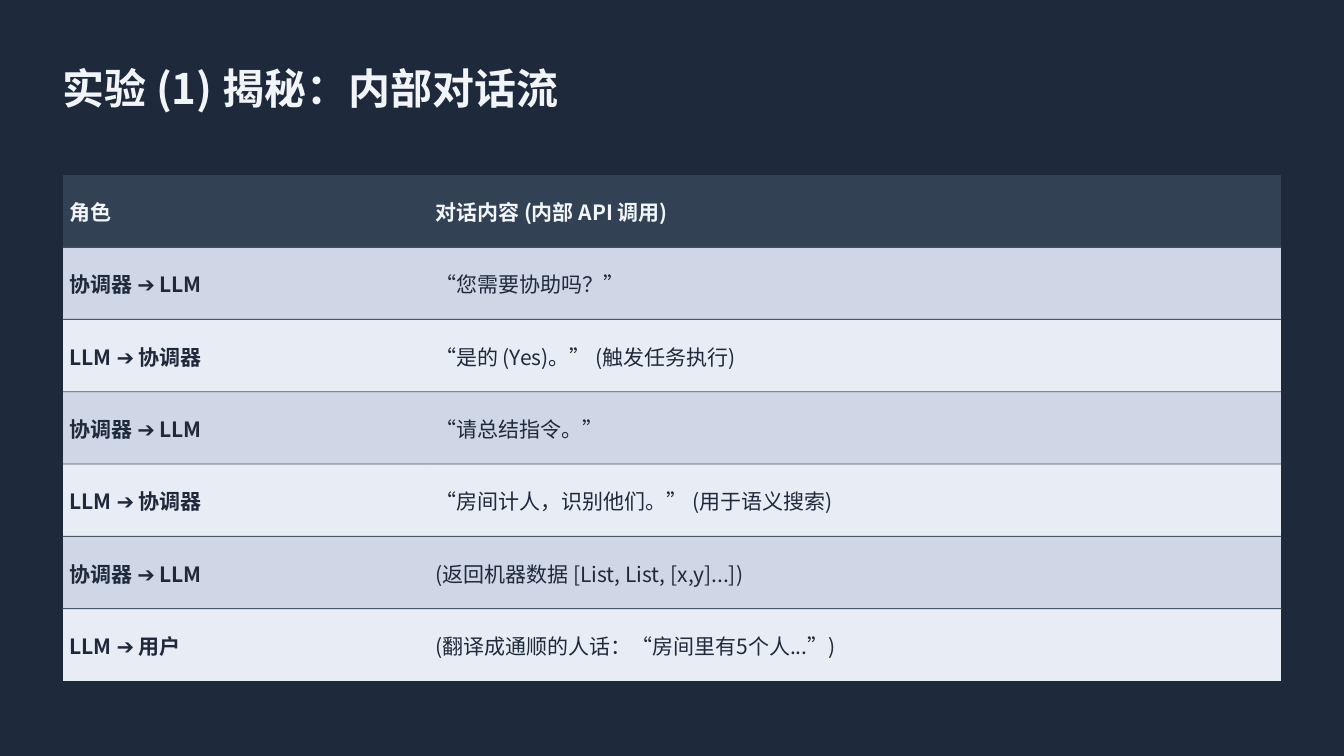
from lxml import etree
from pptx import Presentation
from pptx.dml.color import RGBColor
from pptx.enum.lang import MSO_LANGUAGE_ID
from pptx.enum.shapes import MSO_SHAPE
from pptx.enum.text import MSO_ANCHOR, PP_ALIGN
from pptx.oxml.ns import qn
from pptx.util import Inches, Pt

RECT = MSO_SHAPE.RECTANGLE
MIDDLE, TOP = MSO_ANCHOR.MIDDLE, MSO_ANCHOR.TOP
LEFT = PP_ALIGN.LEFT
CHINESE = MSO_LANGUAGE_ID.SIMPLIFIED_CHINESE
FACE = "Noto Sans CJK TC"
NO_STYLE = "{2D5ABB26-0587-4C30-8999-92F81FD0307C}"
COLORS = {
    "ground": "1E293B",
    "head": "334155",
    "light": "F1F5F9",
    "odd": "CFD7E7",
    "even": "E8ECF4",
    "rule": "475569",
}
WIDTH, HEIGHT = 13.33, 7.5
MARGIN = 0.62
SHARES = (0.3, 0.7)
ROWS = [
    ("角色", "对话内容 (内部 API 调用)"),
    ("协调器 ➔ LLM", "“您需要协助吗？”"),
    ("LLM ➔ 协调器", "“是的 (Yes)。” (触发任务执行)"),
    ("协调器 ➔ LLM", "“请总结指令。”"),
    ("LLM ➔ 协调器", "“房间计人，识别他们。” (用于语义搜索)"),
    ("协调器 ➔ LLM", "(返回机器数据 [List, List, [x,y]...])"),
    ("LLM ➔ 用户", "(翻译成通顺的人话：“房间里有5个人...”)"),
]


def paint(fill, color):
    fill.solid()
    fill.fore_color.rgb = RGBColor.from_string(COLORS[color])


def write(frame, text, size=15, color="ground", bold=False):
    para = frame.paragraphs[0]
    para.alignment = LEFT
    run = para.add_run()
    run.text = text
    font = run.font
    font.size, font.bold, font.name = Pt(size), bold, FACE
    font.language_id = CHINESE
    font.color.rgb = RGBColor.from_string(COLORS[color])
    east = etree.SubElement(run._r.get_or_add_rPr(), qn("a:ea"))
    east.set("typeface", FACE)


def add_title(slide, box, text):
    title = slide.shapes.title
    title.left, title.top, title.width, title.height = map(Inches, box)
    frame = title.text_frame
    frame.margin_left = frame.margin_right = 0
    frame.margin_top = frame.margin_bottom = 0
    frame.vertical_anchor = TOP
    write(frame, text, size=30, color="light", bold=True)


def fill_cell(cell, text, row, col):
    cell.margin_left = cell.margin_right = Inches(0.07)
    cell.margin_top = cell.margin_bottom = Inches(0.03)
    cell.vertical_anchor = MIDDLE
    paint(cell.fill, "head" if row == 0 else "odd" if row % 2 else "even")
    write(cell.text_frame, text, color="ground" if row else "light",
          bold=row == 0 or col == 0)


def add_flow(slide, box, rows):
    """Draw the dialogue table with a thin rule under each row but the last."""
    left, top, width, height = box
    step = height / len(rows)
    frame = slide.shapes.add_table(len(rows), len(SHARES), *map(Inches, box))
    table = frame.table
    table._tbl.tblPr.find(qn("a:tableStyleId")).text = NO_STYLE
    for col, share in enumerate(SHARES):
        table.columns[col].width = Inches(width * share)
    for row, texts in enumerate(rows):
        table.rows[row].height = Inches(step)
        for col, text in enumerate(texts):
            fill_cell(table.cell(row, col), text, row, col)
    for row in range(1, len(rows)):
        for col, share in enumerate(SHARES):
            add_rule(slide, left + width * sum(SHARES[:col]),
                     top + row * step - 0.01, width * share)


def add_rule(slide, left, top, width):
    rule = slide.shapes.add_shape(RECT, *map(Inches, (left, top, width, 0.01)))
    rule.shadow.inherit = False
    paint(rule.fill, "rule")
    rule.line.fill.background()


def main():
    deck = Presentation()
    deck.slide_width, deck.slide_height = Inches(WIDTH), Inches(HEIGHT)
    slide = deck.slides.add_slide(deck.slide_layouts[5])
    paint(slide.background.fill, "ground")
    add_flow(slide, (MARGIN, 1.74, WIDTH - 2 * MARGIN, 5.02), ROWS)
    add_title(slide, (MARGIN, MARGIN, WIDTH - MARGIN, 0.57),
              "实验 (1) 揭秘：内部对话流")
    deck.save("out.pptx")


if __name__ == "__main__":
    main()
